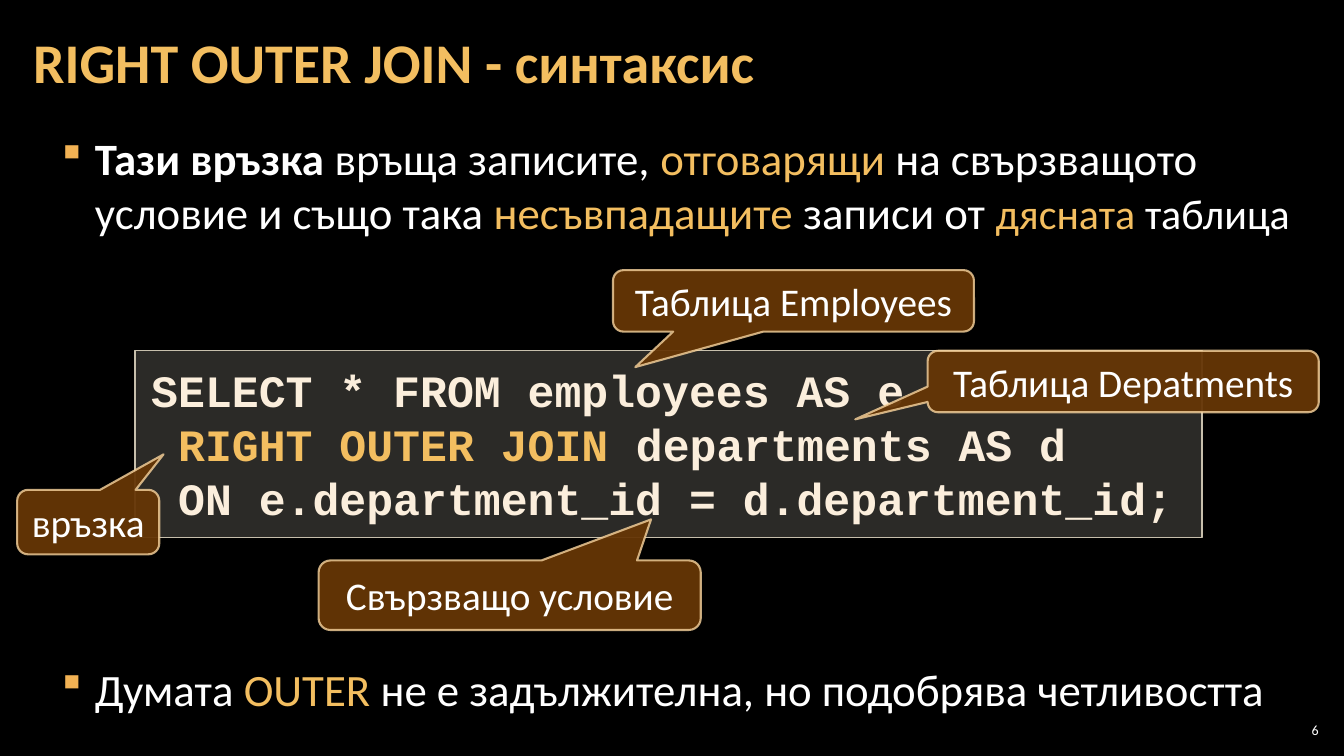
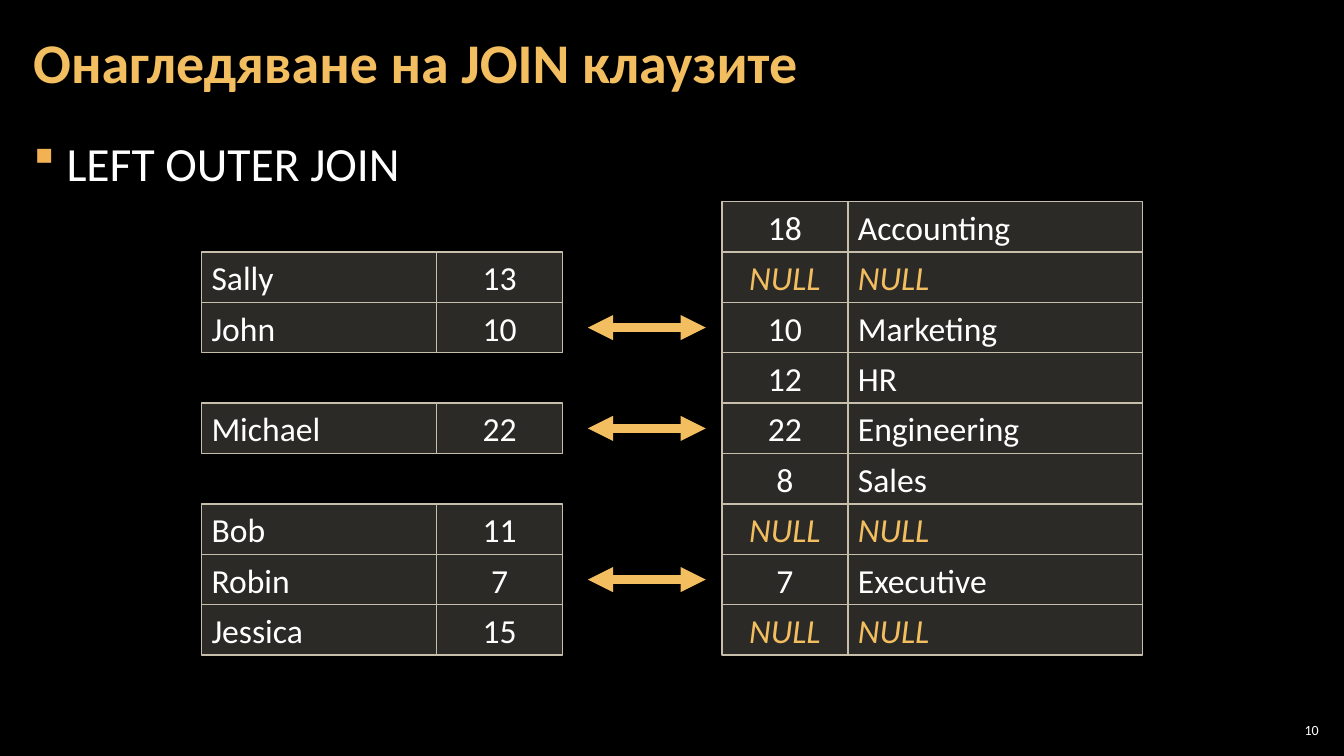
from dataclasses import dataclass

from lxml import etree
from pptx import Presentation
from pptx import util as u
from pptx.dml.color import RGBColor
from pptx.enum import shapes, text
from pptx.oxml import ns

PX = 9144  # 100 px to the inch

BLACK = RGBColor(0x00, 0x00, 0x00)
WHITE = RGBColor(0xFF, 0xFF, 0xFF)
GOLD = RGBColor(0xF3, 0xBE, 0x60)
AMBER = RGBColor(0xF2, 0xB2, 0x54)
CREAM = RGBColor(0xFB, 0xEE, 0xDC)
SAND = RGBColor(0xD9, 0xD5, 0xC7)
STONE = RGBColor(0xC7, 0xBF, 0xAC)
BROWN = RGBColor(0x66, 0x36, 0x06)
PEACH = RGBColor(0xF8, 0xD4, 0x9E)
SANS, MONO = "Calibri", "Courier New"

LEFT, MID, RIGHT = text.PP_ALIGN.LEFT, text.PP_ALIGN.CENTER, text.PP_ALIGN.RIGHT
TOP, CENTER = text.MSO_ANCHOR.TOP, text.MSO_ANCHOR.MIDDLE


@dataclass(frozen=True)
class Box:
    x: int
    y: int
    w: int
    h: int

    def emu(self) -> tuple[int, ...]:
        return tuple(v * PX for v in (self.x, self.y, self.w, self.h))


@dataclass(frozen=True)
class Run:
    words: str
    size: int
    color: RGBColor = WHITE
    bold: bool = False
    italic: bool = False
    font: str = SANS


@dataclass(frozen=True)
class Para:
    runs: list[Run]
    align: text.PP_ALIGN = LEFT
    pitch: float = 1.0
    before: int = 0
    after: int = 0
    bullet: bool = False


@dataclass(frozen=True)
class Callout:
    label: str
    box: Box
    tip: tuple[float, float]


@dataclass(frozen=True)
class Grid:
    x: int
    y: int
    cols: tuple[int, int]
    id_col: int
    rows: list[tuple[str, str]]


# Helpers for XML and text
def node(parent, tag: str, **attrs: str):
    return etree.SubElement(parent, ns.qn(tag), attrs)


def fade(root, percent: int) -> None:
    for color in root.iter(ns.qn("a:srgbClr")):
        node(color, "a:alpha", val=str(percent * 1000))


def write(frame, paras: list[Para]) -> None:
    for i, item in enumerate(paras):
        para = frame.add_paragraph() if i else frame.paragraphs[0]
        para.alignment, para.line_spacing = item.align, item.pitch
        para.space_before, para.space_after = u.Pt(item.before), u.Pt(item.after)
        if item.bullet:
            props = para._p.get_or_add_pPr()
            props.set("marL", str(33 * PX))
            props.set("indent", str(-33 * PX))
            node(node(props, "a:buClr"), "a:srgbClr", val=str(AMBER))
            # In this font the section sign is a small square
            node(props, "a:buFont", typeface="Wingdings", charset="2")
            node(props, "a:buChar", char="§")
        for part in item.runs:
            run = para.add_run()
            run.text = part.words
            font = run.font
            font.name, font.size = part.font, u.Pt(part.size)
            font.bold, font.italic = part.bold, part.italic
            font.color.rgb = part.color


def inset(frame, side: int, edge: int, anchor: text.MSO_ANCHOR) -> None:
    frame.word_wrap = True
    frame.margin_left = frame.margin_right = side * PX
    frame.margin_top = frame.margin_bottom = edge * PX
    frame.vertical_anchor = anchor


def label(slide, box: Box, paras: list[Para], side: int = 12,
          anchor: text.MSO_ANCHOR = TOP) -> None:
    frame = slide.shapes.add_textbox(*box.emu()).text_frame
    inset(frame, side, 4, anchor)
    write(frame, paras)


# Parts of the slides
def start(deck, title: str, number: int):
    slide = deck.slides.add_slide(deck.slide_layouts[6])
    label(slide, Box(21, 4, 1047, 121),
          [Para([Run(title, 40, GOLD, bold=True)], pitch=0.9)], anchor=CENTER)
    label(slide, Box(1265, 714, 47, 21),
          [Para([Run(str(number), 10)], RIGHT)], side=4, anchor=CENTER)
    return slide


def panel(slide, kind, box: Box, fill: RGBColor, alpha: int,
          line: RGBColor, width: float):
    shape = slide.shapes.add_shape(kind, *box.emu())
    shape.shadow.inherit = False
    shape.fill.solid()
    shape.fill.fore_color.rgb = fill
    fade(shape._element.spPr, alpha)
    shape.line.color.rgb = line
    shape.line.width = u.Pt(width)
    return shape


def slab(slide, box: Box):
    return panel(slide, shapes.MSO_SHAPE.RECTANGLE, box,
                 SAND, 20, STONE, 1).text_frame


def callout(slide, note: Callout) -> None:
    kind = shapes.MSO_SHAPE.ROUNDED_RECTANGULAR_CALLOUT
    shape = panel(slide, kind, note.box, BROWN, 95, PEACH, 1.5)
    fade(shape.line._get_or_add_ln(), 80)
    for i, value in enumerate((*note.tip, 0.17)):
        shape.adjustments[i] = value
    inset(shape.text_frame, 10, 5, CENTER)
    write(shape.text_frame, [Para([Run(note.label, 28)], MID)])


def cells(slide, grid: Grid) -> None:
    for r, row in enumerate(grid.rows):
        for c, value in enumerate(row):
            frame = slab(slide, Box(grid.x + sum(grid.cols[:c]),
                                    grid.y + r * ROW, grid.cols[c], ROW))
            inset(frame, 10, 5, CENTER)
            null = value == "NULL"
            run = Run(value, 24, GOLD if null else WHITE, italic=null)
            write(frame, [Para([run], MID if c == grid.id_col else LEFT)])


def arrow(slide, x: int, end: int, y: int) -> None:
    link = slide.shapes.add_connector(
        shapes.MSO_CONNECTOR.STRAIGHT, x * PX, y * PX, end * PX, y * PX)
    link.line.color.rgb = GOLD
    link.line.width = u.Pt(6)
    line = link.line._get_or_add_ln()
    for tag in ("a:headEnd", "a:tailEnd"):
        node(line, tag, type="triangle")
    node(link._element.spPr, "a:effectLst")


# Content
ROW = 50
NOTES = [
    Callout("Таблица Depatments", Box(920, 348, 388, 61), (-0.685, 0.616)),
    Callout("Таблица Employees", Box(608, 268, 358, 61), (-0.438, 1.077)),
    Callout("Свързващо условие", Box(316, 556, 379, 69), (0.37, -1.09)),
    Callout("връзка", Box(17, 486, 141, 64), (0.53, -1.05)),
]
STAFF = [
    Grid(200, y, (233, 125), 1, rows) for y, rows in (
        (250, [("Sally", "13"), ("John", "10")]),
        (400, [("Michael", "22")]),
        (500, [("Bob", "11"), ("Robin", "7"), ("Jessica", "15")]),
    )
]
UNITS = Grid(716, 200, (125, 292), 0, [
    ("18", "Accounting"), ("NULL", "NULL"), ("10", "Marketing"),
    ("12", "HR"), ("22", "Engineering"), ("8", "Sales"),
    ("NULL", "NULL"), ("7", "Executive"), ("NULL", "NULL"),
])


def syntax(deck) -> None:
    slide = start(deck, "RIGHT OUTER JOIN - синтаксис", 6)
    label(slide, Box(49, 126, 1245, 609), [
        Para([
            Run("Тази връзка ", 32, bold=True),
            Run("връща записите, ", 32),
            Run("отговарящи", 32, GOLD),
            Run(" на свързващото условие и също така ", 32),
            Run("несъвпадащите ", 32, GOLD),
            Run("записи от ", 32),
            Run("дясната ", 30, GOLD),
            Run("таблица", 30),
        ], before=6, after=6, bullet=True),
        Para([
            Run("Думата ", 32),
            Run("OUTER ", 32, GOLD),
            Run("не е задължителна, но подобрява четливостта", 32),
        ], before=296, after=6, bullet=True),
    ])
    code = slab(slide, Box(134, 348, 1058, 185))
    inset(code, 16, 12, TOP)
    lines = [
        [("SELECT * FROM employees AS e", CREAM)],
        [(" RIGHT OUTER JOIN ", GOLD), ("departments AS d", CREAM)],
        [(" ON e.department_id = d.department_id;", CREAM)],
    ]
    write(code, [Para([Run(words, 32, color, bold=True, font=MONO)
                       for words, color in line]) for line in lines])
    for note in NOTES:
        callout(slide, note)


def joins(deck) -> None:
    slide = start(deck, "Онагледяване на JOIN клаузите", 10)
    label(slide, Box(21, 126, 1291, 609), [
        Para([Run("LEFT OUTER JOIN", 34)], pitch=1.05, before=6, after=6,
             bullet=True)])
    for grid in (*STAFF, UNITS):
        cells(slide, grid)
    # An arrow wherever a person's number is found among the units
    known = {key for key, _ in UNITS.rows}
    for grid in STAFF:
        for i, (_, key) in enumerate(grid.rows):
            if key in known:
                arrow(slide, 583, 700, grid.y + i * ROW + ROW // 2)


def main() -> None:
    deck = Presentation()
    deck.slide_width, deck.slide_height = 1333 * PX, 750 * PX
    back = deck.slide_master.background.fill
    back.solid()
    back.fore_color.rgb = BLACK
    syntax(deck)
    joins(deck)
    deck.save("out.pptx")


if __name__ == "__main__":
    main()
